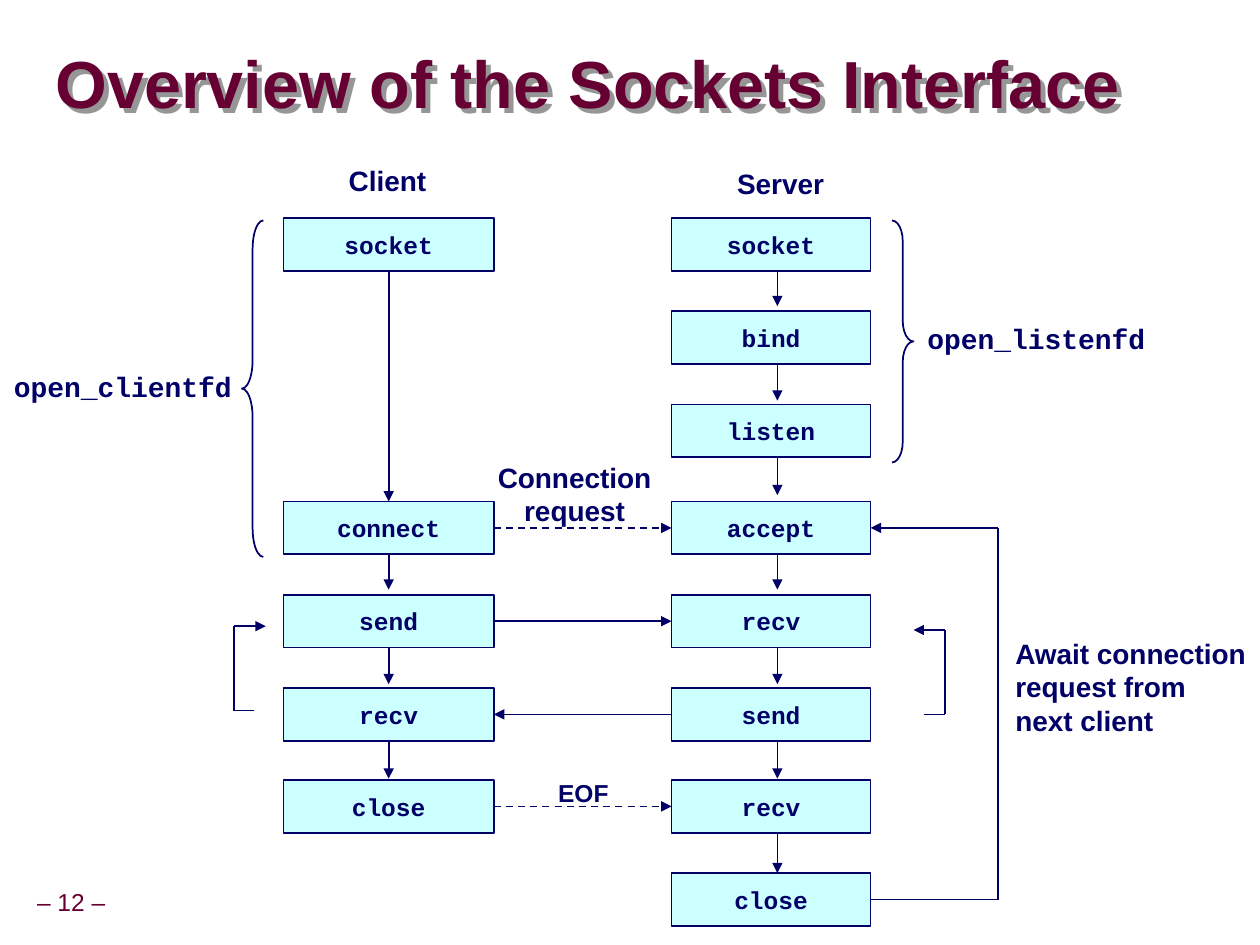
"""Build a slide that outlines the sockets interface for client and server."""
from itertools import pairwise
from lxml.etree import SubElement
from pptx import Presentation
from pptx.dml.color import RGBColor
from pptx.enum.dml import MSO_LINE
from pptx.enum.shapes import MSO_CONNECTOR, MSO_SHAPE
from pptx.enum.text import MSO_ANCHOR, MSO_AUTO_SIZE, PP_ALIGN
from pptx.oxml import parse_xml
from pptx.oxml.ns import qn
from pptx.util import Inches, Pt

NAVY, WINE, AQUA = "000066", "660033", "CCFFFF"
SANS, MONO = "Arial", "Courier New"
TITLE = "Overview of the Sockets Interface"
TOPS = [1.73, 2.47, 3.21, 3.98, 4.72, 5.46, 6.19, 6.93]
HIGH = 0.42
LEFT, WIDE = 2.25, 1.67
CLIENT = {0: "socket", 3: "connect", 4: "send", 5: "recv", 6: "close"}
SERVER = dict(enumerate(
    ["socket", "bind", "listen", "accept", "recv", "send", "recv", "close"]))
LABELS = [
    (["Client"], 2.57, 1.25, 1.01, 0.37, 16, SANS, PP_ALIGN.CENTER),
    (["Server"], 5.7, 1.27, 0.99, 0.37, 16, SANS, PP_ALIGN.CENTER),
    (["Connection", "request"], 3.85, 3.6, 1.42, 0.64, 16, SANS, PP_ALIGN.CENTER),
    (["EOF"], 4.33, 6.12, 0.6, 0.34, 14, SANS, PP_ALIGN.CENTER),
    (["Await connection", "request from", "next client"],
     7.96, 5, 2.03, 0.9, 16, SANS, PP_ALIGN.LEFT),
    (["open_listenfd"], 7.26, 2.5, 1.93, 0.37, 16, MONO, PP_ALIGN.CENTER),
    (["open_clientfd"], 0.01, 2.88, 1.93, 0.37, 16, MONO, PP_ALIGN.CENTER),
]
BRACES = [
    (MSO_SHAPE.RIGHT_BRACE, 7.08, 1.75, 0.17, 1.92, 0.96),
    (MSO_SHAPE.LEFT_BRACE, 1.92, 1.75, 0.17, 2.67, 1.33),
]
LOOPS = [
    [(7.33, 5.67), (7.5, 5.67), (7.5, 5), (7.25, 5)],
    [(2.02, 5.64), (1.86, 5.64), (1.86, 4.97), (2.11, 4.97)],
]
SHADOW = (
    '<a:effectLst xmlns:a="http://schemas.openxmlformats.org/drawingml/2006/main">'
    '<a:outerShdw dist="50800" dir="2700000" algn="ctr" rotWithShape="0">'
    '<a:srgbClr val="969696"/></a:outerShdw></a:effectLst>')


def paint(hue):
    """Turn a hex string into a colour."""
    return RGBColor.from_string(hue)


def write(shape, lines, size, font, hue=NAVY, align=PP_ALIGN.CENTER, bold=True):
    """Fill a shape with one paragraph per line."""
    frame = shape.text_frame
    frame.word_wrap = False
    frame.vertical_anchor = MSO_ANCHOR.MIDDLE
    for i, words in enumerate(lines):
        para = frame.add_paragraph() if i else frame.paragraphs[0]
        para.alignment = align
        run = para.add_run()
        run.text = words
        run.font.size, run.font.name, run.font.bold = Pt(size), font, bold
        run.font.color.rgb = paint(hue)
    return frame


def place(kind, *spot):
    """Add a preset shape with a thin navy edge."""
    shape = slide.shapes.add_shape(kind, *map(Inches, spot))
    shape.shadow.inherit = False
    shape.line.color.rgb, shape.line.width = paint(NAVY), Pt(1)
    return shape


def stack(names, left, wide):
    """Add a column of call boxes, keyed by row."""
    boxes = {}
    for row, name in names.items():
        box = place(MSO_SHAPE.RECTANGLE, left, TOPS[row], wide, HIGH)
        box.fill.solid()
        box.fill.fore_color.rgb = paint(AQUA)
        write(box, [name], 14, MONO)
        boxes[row] = box
    return boxes


def link(start, end, head=True, dash=False, tie=None, join=None):
    """Draw a line, tied to boxes given as (box, side)."""
    line = slide.shapes.add_connector(
        MSO_CONNECTOR.STRAIGHT, *map(Inches, (*start, *end)))
    line.line.color.rgb, line.line.width = paint(NAVY), Pt(1)
    if dash:
        line.line.dash_style = MSO_LINE.DASH
    if head:
        SubElement(line.line._get_or_add_ln(), qn("a:tailEnd"), type="triangle")
    SubElement(line._element.spPr, qn("a:effectLst"))
    if tie:
        line.begin_connect(*tie)
    if join:
        line.end_connect(*join)


def trace(points, tie=None, join=None):
    """Draw a bent route with an arrow on its last leg."""
    legs = list(pairwise(points))
    for i, (start, end) in enumerate(legs):
        last = i == len(legs) - 1
        link(start, end, last, tie=None if i else tie, join=join if last else None)


def label(lines, left, top, wide, high, size, font, align, hue=NAVY, bold=True):
    """Add a text box that fits its words."""
    box = slide.shapes.add_textbox(*map(Inches, (left, top, wide, high)))
    frame = write(box, lines, size, font, hue, align, bold)
    frame.auto_size = MSO_AUTO_SIZE.SHAPE_TO_FIT_TEXT
    return frame


deck = Presentation()
deck.slide_width, deck.slide_height = Inches(10), Inches(7.5)
slide = deck.slides.add_slide(deck.slide_layouts[6])

label(["– 12 –"], -0.09, 7, 1.31, 0.31, 14, SANS, PP_ALIGN.CENTER, WINE, False)
head = slide.shapes.add_textbox(*map(Inches, (0.44, 0.27, 9.53, 0.85)))
frame = write(head, [TITLE], 38, SANS, WINE, PP_ALIGN.LEFT)
frame.word_wrap = True
frame.margin_left = frame.margin_right = frame.margin_top = frame.margin_bottom = 0
frame.paragraphs[0].line_spacing = 0.87
head._element.spPr.append(parse_xml(SHADOW))

client = stack(CLIENT, LEFT, WIDE)
server = stack(SERVER, 5.33, 1.58)

mids = [top + HIGH / 2 for top in TOPS]
axis = LEFT + WIDE / 2
link((axis, 2.15), (axis, 3.98), tie=(client[0], 2), join=(client[3], 0))
for row in range(7):
    low, tip = TOPS[row] + HIGH, 2.43 + 0.75 * row
    link((6.17, low), (6.17, tip))
    if 3 <= row < 6:
        link((axis, low), (axis, tip), tie=(client[row], 2))
for row, dash in [(3, True), (4, False), (5, False), (6, True)]:
    ends = [(client[row], 3), (server[row], 1)]
    spots = [(3.92, mids[row]), (5.33, mids[row])]
    if SERVER[row] == "send":
        ends.reverse()
        spots.reverse()
    link(*spots, dash=dash, tie=ends[0], join=ends[1])

trace([(6.91, mids[7]), (7.92, mids[7]), (7.92, mids[3]), (6.91, mids[3])],
      (server[7], 3), (server[3], 3))
for loop in LOOPS:
    trace(loop)
for kind, left, top, wide, high, bend in BRACES:
    brace = place(kind, left, top, wide, high)
    brace.fill.background()
    brace.adjustments[0] = bend
for item in LABELS:
    label(*item)

deck.save("out.pptx")
